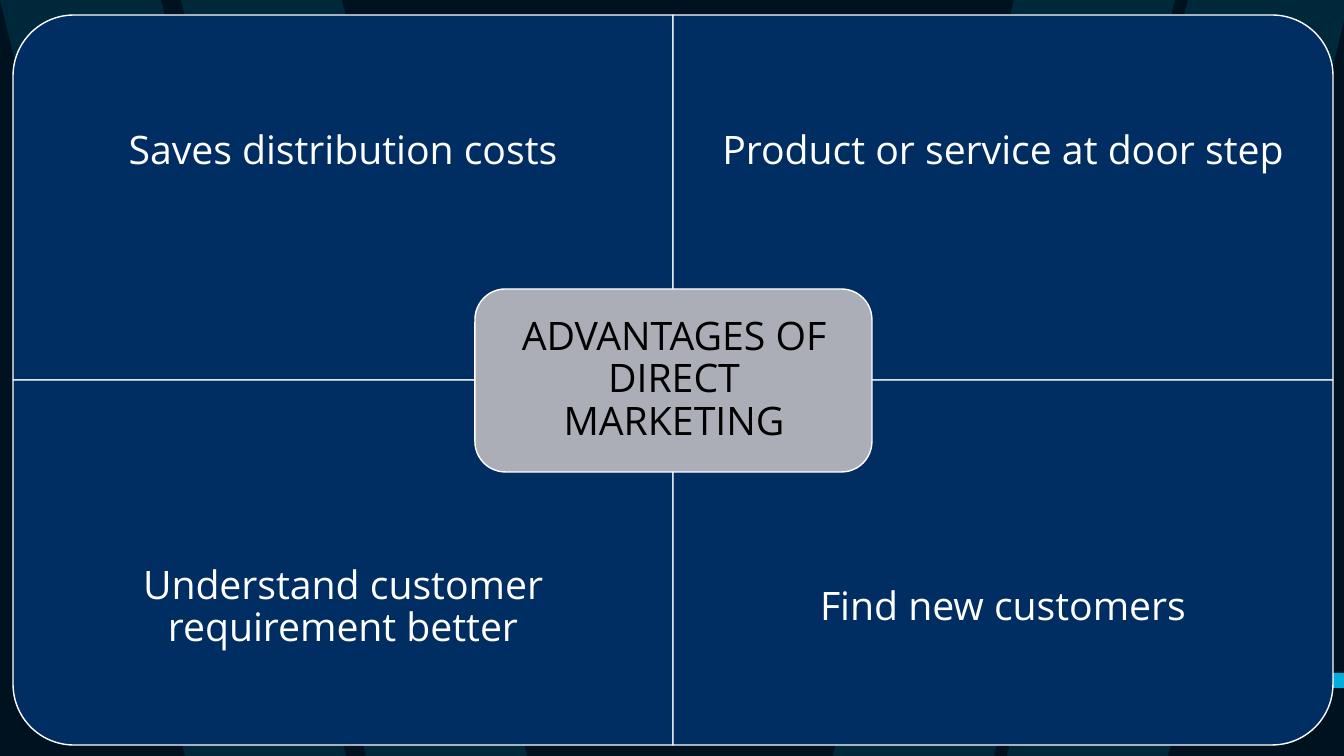
from pptx import Presentation
from pptx.dml.color import RGBColor
from pptx.enum.shapes import MSO_SHAPE
from pptx.enum.text import MSO_ANCHOR, MSO_AUTO_SIZE, PP_ALIGN
from pptx.oxml.ns import qn
from pptx.util import Pt
from lxml.etree import SubElement

PX = 12192000 / 1344
THEME = {
    "back": RGBColor.from_string("00111F"),
    "accent": RGBColor.from_string("00AEDE"),
    "panel": RGBColor.from_string("002E62"),
    "centre": RGBColor.from_string("ABADB7"),
    "light": RGBColor.from_string("FFFFFF"),
    "dark": RGBColor.from_string("000000"),
    "font": "Open Sans",
    "size": Pt(28),
    "line": Pt(1),
}


def px(*lengths):
    return [round(n * PX) for n in lengths]


def write(sp, text, color, inset):
    tf = sp.text_frame
    margin = px(inset)[0]
    frame = {"word_wrap": True, "auto_size": MSO_AUTO_SIZE.NONE,
             "vertical_anchor": MSO_ANCHOR.MIDDLE,
             "margin_left": margin, "margin_right": margin,
             "margin_top": margin, "margin_bottom": margin}
    for name, value in frame.items():
        setattr(tf, name, value)
    p = tf.paragraphs[0]
    p.alignment, p.line_spacing = PP_ALIGN.CENTER, 0.9
    r = p.add_run()
    r.text = text
    r.font.name, r.font.size = THEME["font"], THEME["size"]
    r.font.color.rgb = color


prs = Presentation()
prs.slide_width, prs.slide_height = px(1344, 756)
s = prs.slides.add_slide(prs.slide_layouts[5])
s.background.fill.solid()
s.background.fill.fore_color.rgb = THEME["back"]

# Slanted stripes and the small tab at the right edge
STRIPE = 161
stripes = [[(x, 0), (x + STRIPE, 0), (x + STRIPE + slant, 756), (x + slant, 756)]
           for x, slant in [(0, 185), (181, 185), (1014, -181), (1188, -181)]]
tab = [(1246, 673), (1344, 673), (1344, 688), (1256, 688)]
for points in stripes + [tab]:
    fb = s.shapes.build_freeform(*points[0], scale=PX)
    fb.add_line_segments(points[1:], close=True)
    sp = fb.convert_to_shape()
    sp.shadow.inherit = False
    sp.fill.solid()
    sp.fill.fore_color.rgb = THEME["accent"]
    sp.line.fill.background()
    if points is not tab:
        color = sp._element.spPr.find(qn("a:solidFill"))[0]
        SubElement(color, qn("a:alpha"), val="15000")

# Four panels, each turned so its round corner points outwards
LEFT, TOP, W, H, TEXT_H = 13, 15, 660, 365, 274
panels = [
    ("Saves distribution costs", 0, 0, 270),
    ("Product or service at door step", 1, 0, 0),
    ("Understand customer requirement better", 0, 1, 180),
    ("Find new customers", 1, 1, 90),
]
boxes = []
for text, col, row, turn in panels:
    x, y = LEFT + col * W, TOP + row * H
    w, h = (H, W) if turn % 180 else (W, H)
    boxes.append((MSO_SHAPE.ROUND_1_RECTANGLE, x + (W - w) / 2, y + (H - h) / 2,
                  w, h, turn, "panel"))
boxes.append((MSO_SHAPE.ROUNDED_RECTANGLE, 475, 289, 397, 183, 0, "centre"))
for kind, x, y, w, h, turn, fill in boxes:
    sp = s.shapes.add_shape(kind, *px(x, y, w, h))
    sp.rotation = turn
    sp.shadow.inherit = False
    sp.fill.solid()
    sp.fill.fore_color.rgb = THEME[fill]
    sp.line.color.rgb, sp.line.width = THEME["light"], THEME["line"]

for text, col, row, turn in panels:
    y = TOP + row * (2 * H - TEXT_H)
    sp = s.shapes.add_textbox(*px(LEFT + col * W, y, W, TEXT_H))
    write(sp, text, THEME["light"], 22)

# The title sits on the centre box, in front of everything
title = s.shapes.title
title.left, title.top, title.width, title.height = px(485, 298, 378, 164)
write(title, "ADVANTAGES OF DIRECT MARKETING", THEME["dark"], 12)
s.shapes._spTree.append(title._element)

prs.save("out.pptx")
